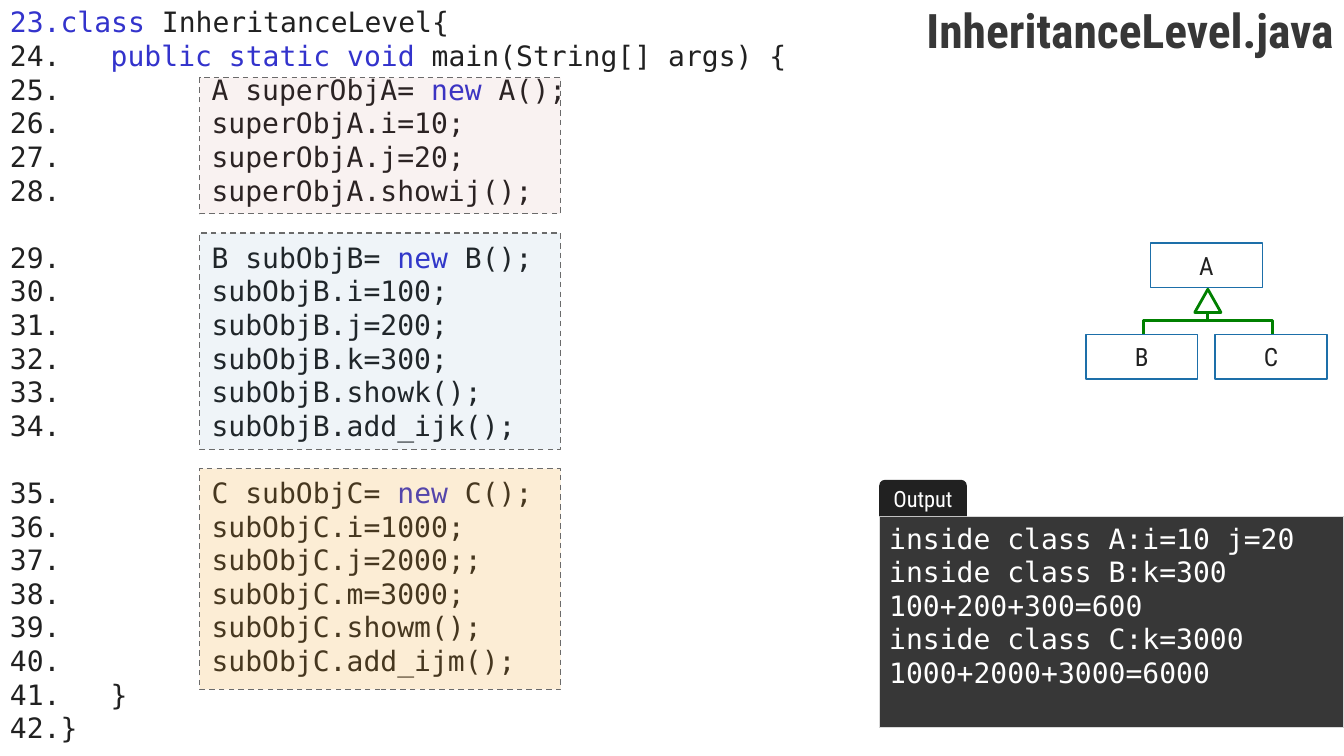
import pptx
import pptx.util
import pptx.dml.color
import pptx.enum.dml
import pptx.enum.shapes
import pptx.enum.text
import pptx.oxml.ns
import lxml.etree

Inches = pptx.util.Inches
Pt = pptx.util.Pt
RGBColor = pptx.dml.color.RGBColor
Shape = pptx.enum.shapes.MSO_SHAPE
Anchor = pptx.enum.text.MSO_ANCHOR
Align = pptx.enum.text.PP_ALIGN
qn = pptx.oxml.ns.qn

INK = RGBColor(0x21, 0x21, 0x21)
KEYWORD = RGBColor(0x33, 0x33, 0xCC)
CHARCOAL = RGBColor(0x37, 0x37, 0x37)
WHITE = RGBColor(0xFF, 0xFF, 0xFF)
SILVER = RGBColor(0xD9, 0xD9, 0xD9)
GRAY = RGBColor(0x6B, 0x6B, 0x6B)
RED = RGBColor(0xB8, 0x47, 0x42)
BLUE = RGBColor(0x1D, 0x6F, 0xA9)
ORANGE = RGBColor(0xF1, 0x9D, 0x19)
GREEN = RGBColor(0x00, 0x80, 0x00)
MONO = "DejaVu Sans Mono"
SANS = "Roboto Condensed"

TITLE = "InheritanceLevel.java"
FIRST_LINE_NUMBER = 23
KEYWORD_MARK = "|"
CODE_BLOCKS = [
    [
        "|class |InheritanceLevel{",
        "\t|public static void| main(String[] args) {",
        "\t\tA superObjA= |new| A();",
        "\t\tsuperObjA.i=10;",
        "\t\tsuperObjA.j=20;",
        "\t\tsuperObjA.showij();",
    ],
    [
        "\t\tB subObjB= |new| B();",
        "\t\tsubObjB.i=100;",
        "\t\tsubObjB.j=200;",
        "\t\tsubObjB.k=300;",
        "\t\tsubObjB.showk();",
        "\t\tsubObjB.add_ijk();",
    ],
    [
        "\t\tC subObjC= |new| C();",
        "\t\tsubObjC.i=1000;",
        "\t\tsubObjC.j=2000;;",
        "\t\tsubObjC.m=3000;",
        "\t\tsubObjC.showm();",
        "\t\tsubObjC.add_ijm();",
        "\t}",
        "}",
    ],
]
OUTPUT_LINES = [
    "inside class A:i=10 j=20",
    "inside class B:k=300",
    "100+200+300=600",
    "inside class C:k=3000",
    "1000+2000+3000=6000",
]
HIGHLIGHTS = [(0.77, 1.35, RED, 7), (2.31, 2.15, BLUE, 7), (4.65, 2.19, ORANGE, 18)]
PARENT = "A"
CHILDREN = [("B", -1), ("C", 1)]
PARENT_LEFT, PARENT_TOP, CHILD_TOP = 11.41, 2.41, 3.32
CLASS_WIDTH, CLASS_HEIGHT, CHILD_OFFSET = 1.11, 0.44, 0.64
JOINT_X, JOINT_Y = 11.98, 2.87


def write(box, lines, size=20, font=MONO, color=INK, bold=False,
          align=Align.LEFT, anchor=Anchor.TOP, wrap=True):
    frame = box.text_frame
    frame.word_wrap = wrap
    frame.vertical_anchor = anchor
    for index, line in enumerate(lines):
        para = frame.paragraphs[0] if index == 0 else frame.add_paragraph()
        para.alignment = align
        for position, piece in enumerate(line.split(KEYWORD_MARK)):
            if piece:
                span = para.add_run()
                span.text = piece
                span.font.size = Pt(size)
                span.font.name = font
                span.font.bold = bold
                span.font.color.rgb = KEYWORD if position % 2 else color
    return frame


def add_box(kind, left, top, width, height, fill=None, line=None, weight=1.0):
    box = page.shapes.add_shape(kind, Inches(left), Inches(top), Inches(width), Inches(height))
    box.shadow.inherit = False
    if fill is None:
        box.fill.background()
    else:
        box.fill.solid()
        box.fill.fore_color.rgb = fill
    if line is None:
        box.line.fill.background()
    else:
        box.line.color.rgb = line
        box.line.width = Pt(weight)
    return box


def add_class(name, left, top):
    box = add_box(Shape.RECTANGLE, left, top, CLASS_WIDTH, CLASS_HEIGHT, line=BLUE)
    write(box, [name], size=18, font=SANS, align=Align.CENTER, anchor=Anchor.MIDDLE)


def add_inheritance_line(side):
    drop = CHILD_TOP - JOINT_Y
    middle_x = JOINT_X + side * CHILD_OFFSET / 2
    middle_y = JOINT_Y + drop / 2
    connector = page.shapes.add_connector(
        pptx.enum.shapes.MSO_CONNECTOR.ELBOW,
        Inches(middle_x + drop / 2), Inches(middle_y - side * CHILD_OFFSET / 2),
        Inches(middle_x - drop / 2), Inches(middle_y + side * CHILD_OFFSET / 2))
    connector.line.color.rgb = GREEN
    connector.line.width = Pt(2)
    properties = connector._element.spPr
    properties.find(qn("a:xfrm")).set("rot", str(270 * 60000))
    adjustments = properties.find(qn("a:prstGeom")).find(qn("a:avLst"))
    lxml.etree.SubElement(adjustments, qn("a:gd"), name="adj1", fmla="val 68100")
    lxml.etree.SubElement(properties, qn("a:effectLst"))


deck = pptx.Presentation()
deck.slide_width, deck.slide_height = Inches(13.33), Inches(7.5)
page = deck.slides.add_slide(deck.slide_layouts[6])

code_box = page.shapes.add_textbox(0, 0, Inches(10.94), Inches(7.5))
code = write(code_box, [line for block in CODE_BLOCKS for line in block])
for para in code.paragraphs:
    properties = para._p.get_or_add_pPr()
    properties.set("marL", str(Inches(0.5)))
    properties.set("indent", str(Inches(-0.5)))
    properties.set("defTabSz", str(Inches(1)))
    lxml.etree.SubElement(properties, qn("a:buFont"), typeface=MONO)
    lxml.etree.SubElement(properties, qn("a:buAutoNum"), type="arabicPeriod",
                          startAt=str(FIRST_LINE_NUMBER))
block_start = 0
for block in CODE_BLOCKS[:-1]:
    block_start += len(block)
    code.paragraphs[block_start].space_before = Pt(24)

output_box = add_box(Shape.RECTANGLE, 8.72, 5.12, 4.61, 2.1, CHARCOAL, SILVER, 0.75)
write(output_box, OUTPUT_LINES, color=WHITE)
output_tab = add_box(Shape.ROUND_2_SAME_RECTANGLE, 8.72, 4.76, 0.87, 0.36, INK)
tab_frame = write(output_tab, ["Output"], size=16, font=SANS, color=WHITE,
                  align=Align.CENTER, anchor=Anchor.MIDDLE)
tab_frame.margin_top = tab_frame.margin_bottom = 0

for top, height, color, opacity in HIGHLIGHTS:
    highlight = add_box(Shape.RECTANGLE, 1.98, top, 3.58, height, color, GRAY)
    highlight.line.dash_style = pptx.enum.dml.MSO_LINE.DASH
    tint = highlight._element.spPr.find(qn("a:solidFill")).find(qn("a:srgbClr"))
    lxml.etree.SubElement(tint, qn("a:alpha"), val=str(opacity * 1000))

add_class(PARENT, PARENT_LEFT, PARENT_TOP)
for name, side in CHILDREN:
    add_inheritance_line(side)
    add_class(name, PARENT_LEFT + side * CHILD_OFFSET, CHILD_TOP)
add_box(Shape.ISOSCELES_TRIANGLE, JOINT_X - 0.13, JOINT_Y, 0.26, 0.23, WHITE, GREEN, 2)

title_box = page.shapes.add_textbox(Inches(9.09), Inches(-0.04), Inches(4.3), Inches(0.67))
write(title_box, [TITLE], size=34, font=SANS, color=CHARCOAL, bold=True, wrap=False)

deck.save("out.pptx")
